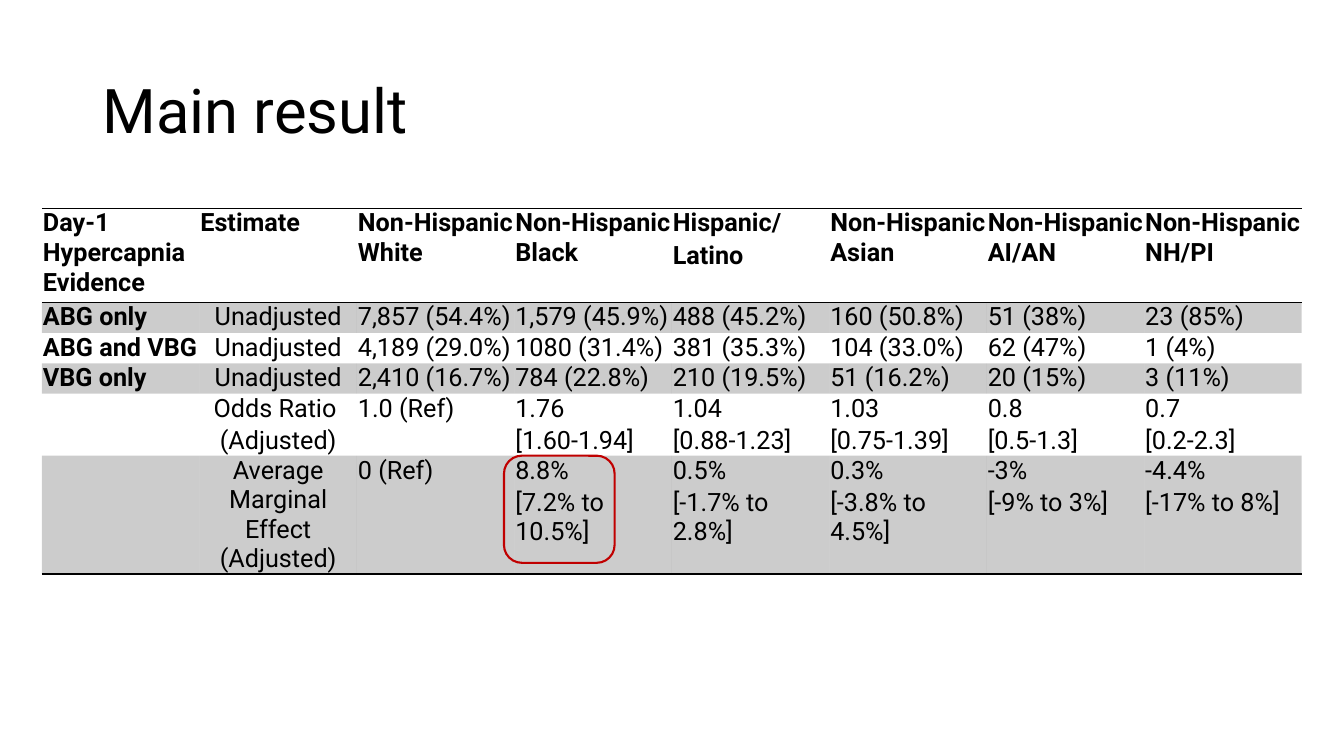
from collections import namedtuple

from lxml.etree import SubElement
from pptx import Presentation
from pptx.dml.color import RGBColor
from pptx.enum.shapes import MSO_SHAPE as Preset
from pptx.enum.text import MSO_ANCHOR as Anchor, PP_ALIGN as Align
from pptx.oxml import parse_xml
from pptx.oxml.ns import nsdecls, qn
from pptx.util import Pt

Box = namedtuple("Box", "left top width height")

COLORS = {"text": "000000", "band": "000000", "rule": "000000", "highlight": "C00000"}
FONT = "Roboto"
BAND_OPACITY = 20
BANDED_ROWS = (1, 3, 5)
ROW_HEIGHTS = (67.2, 21.7, 21.7, 21.7, 44.3, 84.2)
RESULTS = (
    ("Day-1 Hypercapnia Evidence", "Estimate", "Non-Hispanic White", "Non-Hispanic Black",
     "Hispanic/\nLatino", "Non-Hispanic Asian", "Non-Hispanic AI/AN", "Non-Hispanic NH/PI"),
    ("ABG only", "Unadjusted", "7,857 (54.4%)", "1,579 (45.9%)",
     "488 (45.2%)", "160 (50.8%)", "51 (38%)", "23 (85%)"),
    ("ABG and VBG", "Unadjusted", "4,189 (29.0%)", "1080 (31.4%)",
     "381 (35.3%)", "104 (33.0%)", "62 (47%)", "1 (4%)"),
    ("VBG only", "Unadjusted", "2,410 (16.7%)", "784 (22.8%)",
     "210 (19.5%)", "51 (16.2%)", "20 (15%)", "3 (11%)"),
    ("", "Odds Ratio \n(Adjusted)", "1.0 (Ref)", "1.76\n[1.60-1.94]",
     "1.04\n[0.88-1.23]", "1.03\n[0.75-1.39]", "0.8\n[0.5-1.3]", "0.7\n[0.2-2.3]"),
    ("", "Average Marginal Effect (Adjusted)", "0 (Ref)", "8.8%\n[7.2% to 10.5%]",
     "0.5%\n[-1.7% to 2.8%]", "0.3%\n[-3.8% to 4.5%]", "-3%\n[-9% to 3%]",
     "-4.4%\n[-17% to 8%]"),
)


def place(box):
    """Return the box as four lengths."""
    return [Pt(length) for length in box]


def style_font(font, size, bold=False):
    """Apply the slide's typeface and text colour."""
    font.name = FONT
    font.size = Pt(size)
    font.bold = bold
    font.color.rgb = RGBColor.from_string(COLORS["text"])


def add_title(slide, box, text):
    """Fill and position the title placeholder."""
    title = slide.shapes.title
    title.left, title.top, title.width, title.height = place(box)
    title.text_frame.text = text
    title.text_frame.vertical_anchor = Anchor.MIDDLE
    paragraph = title.text_frame.paragraphs[0]
    paragraph.alignment = Align.LEFT
    paragraph.line_spacing = 0.9
    style_font(paragraph.font, 44)


def fill_cell(cell, banded):
    """Shade a banded cell, or leave it clear."""
    if not banded:
        cell.fill.background()
        return
    cell.fill.solid()
    cell.fill.fore_color.rgb = RGBColor.from_string(COLORS["band"])
    color = cell._tc.tcPr.find(qn("a:solidFill"))[0]
    SubElement(color, qn("a:alpha"), val=str(BAND_OPACITY * 1000))


def set_borders(cell, ruled_edges):
    """Rule the given edges of a cell and clear the others."""
    for position, edge in enumerate("LRTB"):
        paint = "<a:noFill/>"
        if edge in ruled_edges:
            paint = f'<a:solidFill><a:srgbClr val="{COLORS["rule"]}"/></a:solidFill>'
        border = parse_xml(f'<a:ln{edge} {nsdecls("a")} w="{Pt(1)}">{paint}</a:ln{edge}>')
        cell._tc.get_or_add_tcPr().insert(position, border)


def write_cell(cell, text, bold, alignment):
    """Write a cell's lines as paragraphs."""
    cell.margin_left = cell.margin_right = Pt(0.7)
    cell.margin_top = cell.margin_bottom = 0
    cell.text = text
    for index, paragraph in enumerate(cell.text_frame.paragraphs):
        paragraph.alignment = alignment
        if index:
            paragraph.space_before = Pt(2)
        style_font(paragraph.font, 18, bold)


def add_results_table(slide, box):
    """Draw the results table with shaded bands and three rules."""
    column_count = len(RESULTS[0])
    last_row = len(RESULTS) - 1
    table = slide.shapes.add_table(len(RESULTS), column_count, *place(box)).table
    table.first_row = table.horz_banding = False
    for column in table.columns:
        column.width = Pt(box.width / column_count)
    for row_index, texts in enumerate(RESULTS):
        table.rows[row_index].height = Pt(ROW_HEIGHTS[row_index])
        ruled_edges = {0: "TB", 1: "T", last_row: "B"}.get(row_index, "")
        for column_index, text in enumerate(texts):
            cell = table.cell(row_index, column_index)
            is_header = row_index == 0
            is_estimate = column_index == 1 and not is_header
            write_cell(cell, text, is_header or column_index == 0,
                       Align.CENTER if is_estimate else Align.LEFT)
            fill_cell(cell, row_index in BANDED_ROWS)
            set_borders(cell, ruled_edges)
    table.cell(last_row, 1).vertical_anchor = Anchor.MIDDLE


def add_highlight(slide, box):
    """Outline the key result with a rounded frame."""
    frame = slide.shapes.add_shape(Preset.ROUNDED_RECTANGLE, *place(box))
    frame.shadow.inherit = False
    frame.fill.background()
    frame.line.color.rgb = RGBColor.from_string(COLORS["highlight"])
    frame.line.width = Pt(1.5)


def main():
    """Build and save the slide."""
    presentation = Presentation()
    presentation.slide_width, presentation.slide_height = Pt(960), Pt(540)
    slide = presentation.slides.add_slide(presentation.slide_layouts[5])
    add_title(slide, Box(66, 28.8, 828, 104.4), "Main result")
    add_results_table(slide, Box(30, 149, 900, sum(ROW_HEIGHTS)))
    add_highlight(slide, Box(360, 325.5, 79, 76.5))
    presentation.save("out.pptx")


if __name__ == "__main__":
    main()
